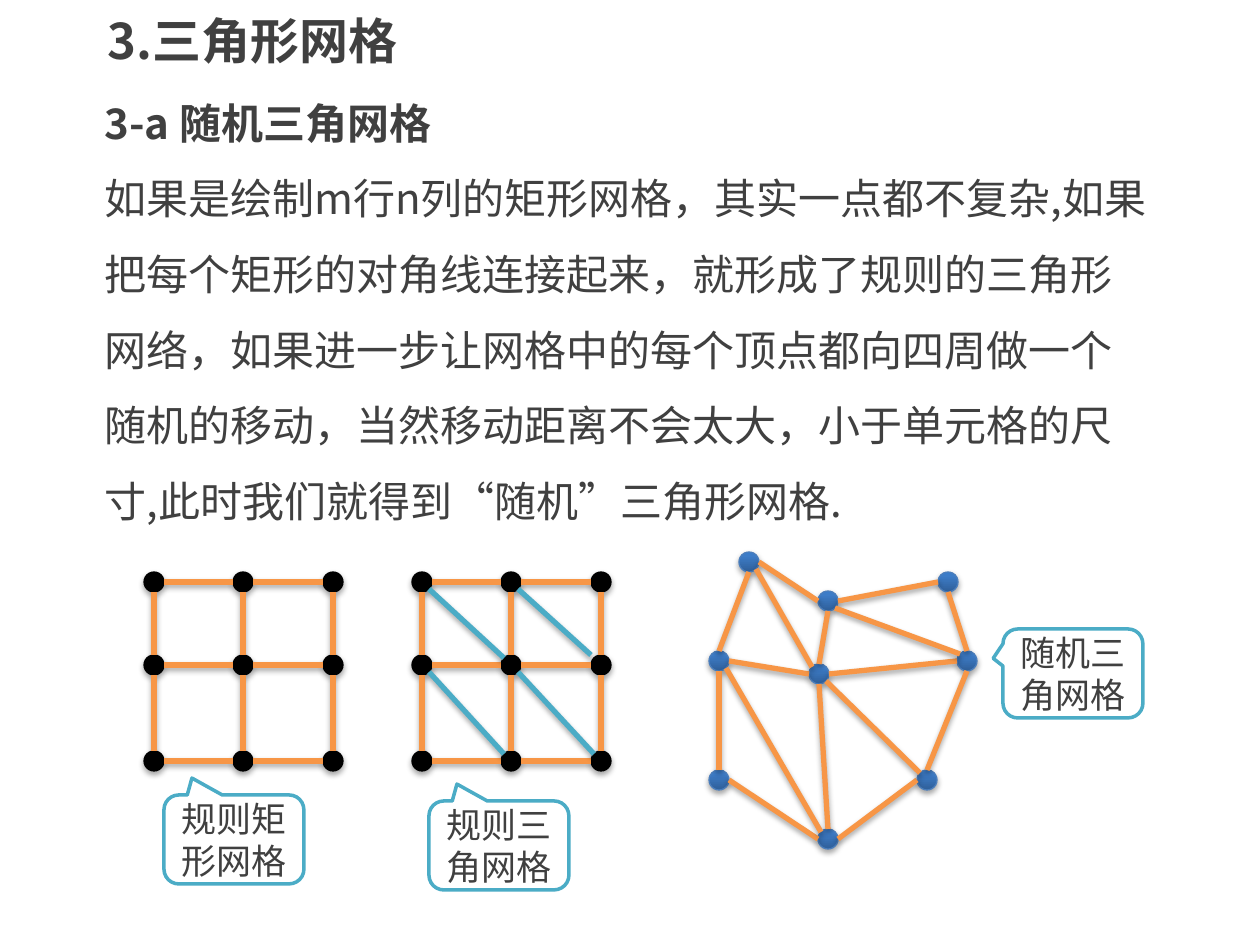
from copy import deepcopy

from lxml import etree
from pptx import Presentation
from pptx.dml.color import RGBColor
from pptx.enum.shapes import MSO_CONNECTOR, MSO_SHAPE
from pptx.enum.text import MSO_ANCHOR, MSO_AUTO_SIZE, PP_ALIGN
from pptx.oxml import parse_xml
from pptx.oxml.ns import nsdecls, qn
from pptx.util import Emu, Pt

STRAIGHT = MSO_CONNECTOR.STRAIGHT
OVAL = MSO_SHAPE.OVAL
CALLOUT = MSO_SHAPE.ROUNDED_RECTANGULAR_CALLOUT
TOP, MIDDLE = MSO_ANCHOR.TOP, MSO_ANCHOR.MIDDLE
LEFT, CENTER = PP_ALIGN.LEFT, PP_ALIGN.CENTER

FONT = "Noto Sans CJK SC"
INK = RGBColor(0x40, 0x40, 0x40)
BLACK = RGBColor(0x00, 0x00, 0x00)
WHITE = RGBColor(0xFF, 0xFF, 0xFF)
ORANGE = RGBColor(0xF7, 0x96, 0x46)
TEAL = RGBColor(0x4B, 0xAC, 0xC6)
BLUE_EDGE = RGBColor(0x4B, 0x7E, 0xBC)
BLUE_STOPS = (
    (0, RGBColor(0x2F, 0x5F, 0x99)),
    (0.8, RGBColor(0x3D, 0x7C, 0xC7)),
    (1, RGBColor(0x3A, 0x7C, 0xCB)),
)

PX_PER_INCH = 126
RADIUS = 10
# Offsets from a dot's centre to the points on its rim
RIM = {
    "top": (0, -10), "bottom": (0, 10), "left": (-10, 0), "right": (10, 0),
    "upper left": (-7, -7), "lower right": (7, 7),
}
OUTER_CORNER = (-10, -10)

RANDOM_DOTS = {
    "A": (40, 10), "B": (10, 109), "C": (119, 49), "D": (110, 122), "E": (239, 30),
    "F": (258, 109), "G": (10, 228), "H": (119, 287), "I": (218, 228),
}
RANDOM_EDGES = (
    ("right", "left", "AC CE BD DF GH HI"),
    ("bottom", "top", "AB CD BG DH FI EF"),
    ("lower right", "upper left", "AD CF BH DI"),
)


def px(length):
    return Emu(round(length * 914400 / PX_PER_INCH))


def add_soft_shadow(shape):
    shape._element.spPr.append(parse_xml(
        f'<a:effectLst {nsdecls("a")}>'
        '<a:outerShdw blurRad="40000" dist="23000" dir="5400000" rotWithShape="0">'
        '<a:srgbClr val="000000"><a:alpha val="35000"/></a:srgbClr>'
        '</a:outerShdw></a:effectLst>'))


def add_run(paragraph, text, size, bold=False):
    run = paragraph.add_run()
    run.text = text
    run.font.size = Pt(size)
    run.font.bold = bold
    run.font.color.rgb = INK
    run.font.name = FONT
    etree.SubElement(run._r.get_or_add_rPr(), qn("a:ea"), typeface=FONT)


def fill_blue_gradient(shape):
    shape.fill.gradient()
    shape.fill.gradient_angle = 90
    stop_list = shape._element.spPr.find(qn("a:gradFill")).find(qn("a:gsLst"))
    stop_list.append(deepcopy(stop_list[-1]))
    for stop, (position, color) in zip(shape.fill.gradient_stops, BLUE_STOPS):
        stop.position = position
        stop.color.rgb = color


def add_dot(slide, center, blue=False):
    x, y = center
    dot = slide.shapes.add_shape(
        OVAL, px(x - RADIUS), px(y - RADIUS), px(2 * RADIUS), px(2 * RADIUS))
    if blue:
        fill_blue_gradient(dot)
    else:
        dot.fill.solid()
        dot.fill.fore_color.rgb = BLACK
    dot.line.color.rgb = BLUE_EDGE if blue else BLACK
    dot.line.width = Pt(0.75)
    add_soft_shadow(dot)


def add_edge(slide, start, start_offset, end, end_offset, color=ORANGE):
    x1, y1 = (a + b for a, b in zip(start, start_offset))
    x2, y2 = (a + b for a, b in zip(end, end_offset))
    edge = slide.shapes.add_connector(STRAIGHT, px(x1), px(y1), px(x2), px(y2))
    edge.line.color.rgb = color
    edge.line.width = Pt(3)
    add_soft_shadow(edge)


def add_regular_mesh(slide, left, top, diagonals=False):
    columns = [left + RADIUS + offset for offset in (0, 89, 179)]
    rows = [top + RADIUS + offset for offset in (0, 83, 179)]
    for y in rows:
        for x in columns:
            add_dot(slide, (x, y))
    for y in rows:
        for x1, x2 in zip(columns, columns[1:]):
            add_edge(slide, (x1, y), RIM["right"], (x2, y), RIM["left"])
    for x in columns:
        for y1, y2 in zip(rows, rows[1:]):
            add_edge(slide, (x, y1), RIM["bottom"], (x, y2), RIM["top"])
    if not diagonals:
        return
    for row in range(2):
        for column in range(2):
            # The upper right diagonal stops short of its dot
            short = (row, column) == (0, 1)
            add_edge(slide, (columns[column], rows[row]), RIM["lower right"],
                     (columns[column + 1], rows[row + 1]),
                     OUTER_CORNER if short else RIM["upper left"], TEAL)


def add_random_mesh(slide, left, top):
    centers = {name: (left + x, top + y) for name, (x, y) in RANDOM_DOTS.items()}
    for center in centers.values():
        add_dot(slide, center, blue=True)
    for start_side, end_side, pairs in RANDOM_EDGES:
        for start, end in pairs.split():
            add_edge(slide, centers[start], RIM[start_side],
                     centers[end], RIM[end_side])


def add_callout(slide, left, top, text, tip):
    callout = slide.shapes.add_shape(CALLOUT, px(left), px(top), px(140), px(89))
    callout.adjustments[0], callout.adjustments[1] = tip
    callout.shadow.inherit = False
    callout.fill.solid()
    callout.fill.fore_color.rgb = WHITE
    callout.line.color.rgb = TEAL
    callout.line.width = Pt(2)
    frame = callout.text_frame
    frame.word_wrap = True
    frame.vertical_anchor = MIDDLE
    frame.paragraphs[0].alignment = CENTER
    add_run(frame.paragraphs[0], text, 20)


def place_title(slide, left, top, width, height):
    title = slide.shapes.title
    title.left, title.top, title.width, title.height = map(px, (left, top, width, height))
    frame = title.text_frame
    frame.auto_size = MSO_AUTO_SIZE.SHAPE_TO_FIT_TEXT
    frame.vertical_anchor = TOP
    frame.paragraphs[0].alignment = LEFT
    add_run(frame.paragraphs[0], "3.三角形网格", 28, bold=True)


def add_explanation(slide, left, top, width, height):
    frame = slide.shapes.add_textbox(*map(px, (left, top, width, height))).text_frame
    frame.word_wrap = True
    frame.auto_size = MSO_AUTO_SIZE.SHAPE_TO_FIT_TEXT
    heading, body = frame.paragraphs[0], frame.add_paragraph()
    heading.line_spacing = body.line_spacing = 1.5
    add_run(heading, "3-a 随机三角网格", 24, bold=True)
    add_run(body, "如果是绘制m行n列的矩形网格，其实一点都不复杂,"
                  "如果把每个矩形的对角线连接起来，就形成了规则的三角形网络，"
                  "如果进一步让网格中的每个顶点都向四周做一个随机的移动，"
                  "当然移动距离不会太大，小于单元格的尺寸,"
                  "此时我们就得到“随机”三角形网格.", 24)


def main():
    presentation = Presentation()
    presentation.slide_width, presentation.slide_height = px(1260), px(945)
    slide = presentation.slides.add_slide(presentation.slide_layouts[5])
    place_title(slide, 95, 4, 1071, 72)
    add_explanation(slide, 92, 66, 1071, 471)
    add_regular_mesh(slide, 144, 572)
    add_regular_mesh(slide, 412, 572, diagonals=True)
    add_random_mesh(slide, 709, 552)
    add_callout(slide, 164, 795, "规则矩形网格", (-0.3, -0.69))
    add_callout(slide, 429, 801, "规则三角网格", (-0.3, -0.69))
    add_callout(slide, 1003, 629, "随机三角网格", (-0.57, -0.17))
    presentation.save("out.pptx")


if __name__ == "__main__":
    main()
